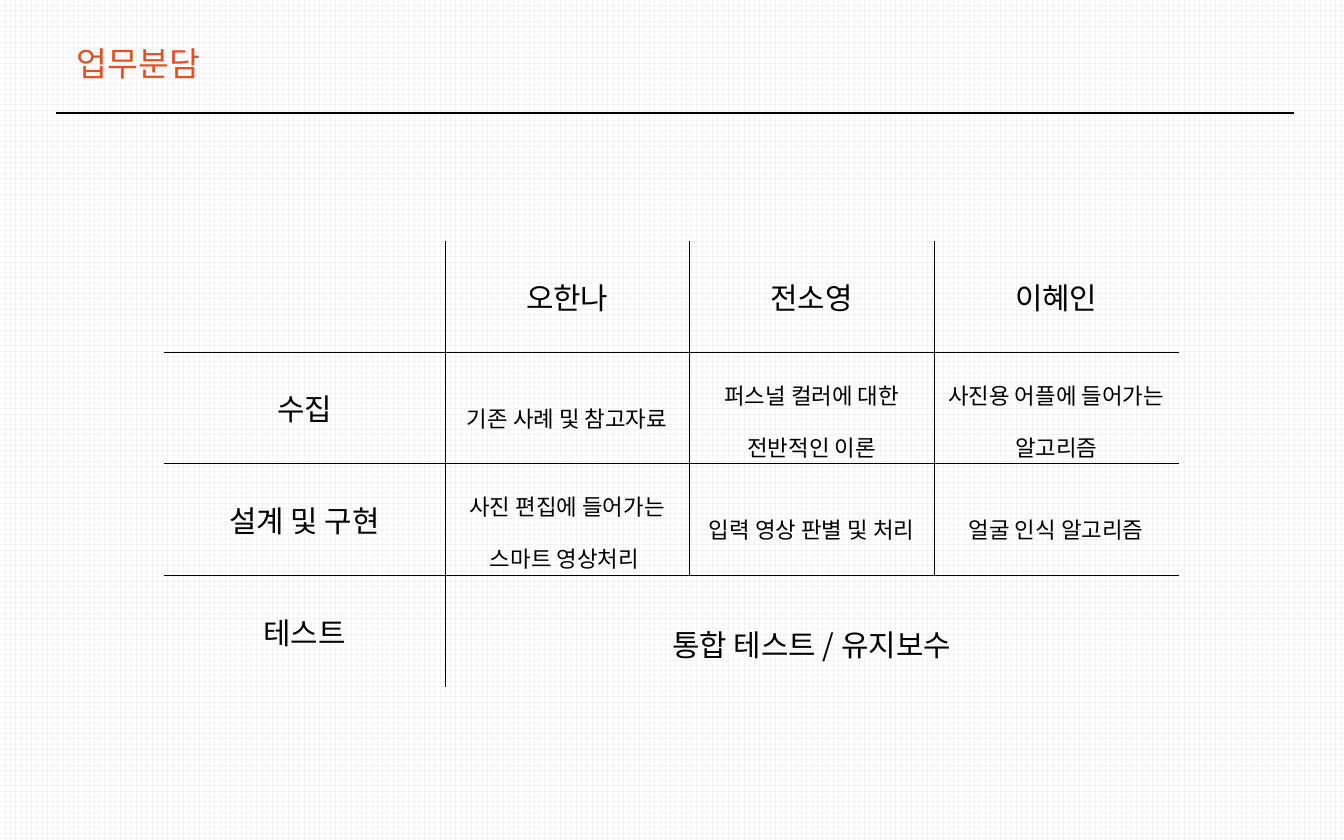
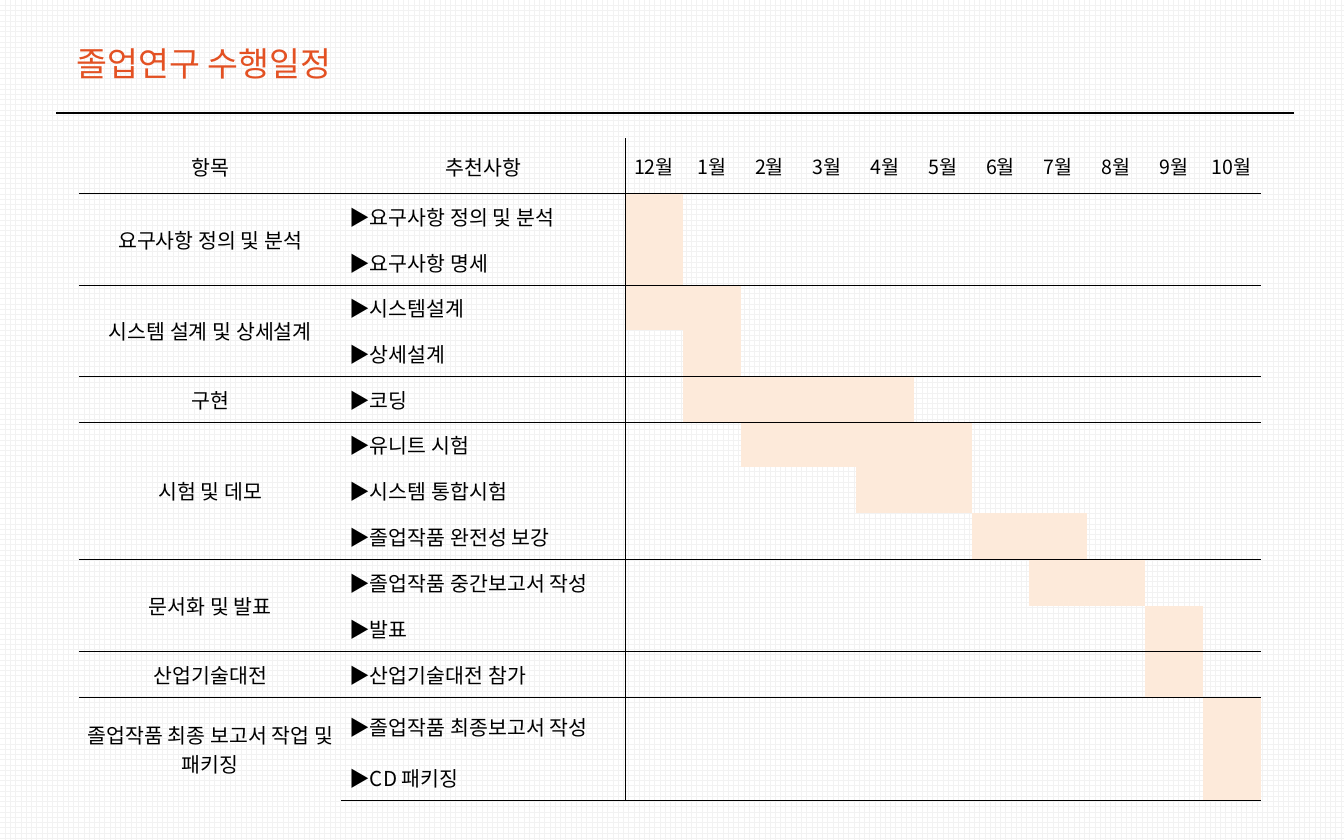
from lxml.etree import SubElement
from pptx import Presentation
from pptx.dml.color import RGBColor
from pptx.enum.dml import MSO_PATTERN
from pptx.enum.shapes import MSO_CONNECTOR
from pptx.enum.text import MSO_ANCHOR, MSO_AUTO_SIZE, PP_ALIGN
from pptx.oxml.ns import qn
from pptx.util import Inches, Pt

FONT, INK, ACCENT, BAR = "Noto Sans CJK KR", "000000", "E35123", "FDEADA"
PLAIN = "{2D5ABB26-0587-4C30-8999-92F81FD0307C}"
hue = RGBColor.from_string


def write(frame, text, size, color=INK, align=PP_ALIGN.LEFT, gap=None):
    para = frame.paragraphs[0]
    para.alignment = align
    para.line_spacing = gap
    if not text:
        SubElement(para._p, qn("a:endParaRPr"), sz=str(int(size * 100)))
        return
    run = para.add_run()
    run.text = text
    run.font.size = Pt(size)
    run.font.name = FONT
    run.font.color.rgb = hue(color)
    SubElement(run._r.get_or_add_rPr(), qn("a:ea"), typeface=FONT)


def edge(cell, sides, fill=None):
    props = cell._tc.get_or_add_tcPr()
    for side in "LRTB":
        line = SubElement(props, qn("a:ln" + side), w=str(Pt(0.28)))
        if side in sides:
            solid = SubElement(line, qn("a:solidFill"))
            SubElement(solid, qn("a:srgbClr"), val=INK)
        else:
            SubElement(line, qn("a:noFill"))
    if fill:
        cell.fill.solid()
        cell.fill.fore_color.rgb = hue(fill)
    else:
        cell.fill.background()


deck = Presentation()
deck.slide_width, deck.slide_height = Inches(10), Inches(6.25)

duties = [
    ["", "오한나", "전소영", "이혜인"],
    ["수집", "기존 사례 및 참고자료", "퍼스널 컬러에 대한 전반적인 이론",
     "사진용 어플에 들어가는 알고리즘"],
    ["설계 및 구현", "사진 편집에 들어가는 스마트 영상처리 ",
     "입력 영상 판별 및 처리", "얼굴 인식 알고리즘"],
    ["테스트", "통합 테스트 / 유지보수", "", ""],
]
groups = [
    ("요구사항 정의 및 분석", [("요구사항 정의 및 분석", 0, 0), ("요구사항 명세", 0, 0)]),
    ("시스템 설계 및 상세설계", [("시스템설계", 0, 1), ("상세설계", 1, 1)]),
    ("구현", [("코딩", 1, 4)]),
    ("시험 및 데모", [("유니트 시험", 2, 5), ("시스템 통합시험", 4, 5),
                 ("졸업작품 완전성 보강", 6, 7)]),
    ("문서화 및 발표", [("졸업작품 중간보고서 작성", 7, 8), ("발표", 9, 9)]),
    ("산업기술대전", [("산업기술대전 참가", 9, 9)]),
    ("졸업작품 최종 보고서 작업 및 패키징",
     [("졸업작품 최종보고서 작성", 10, 10), ("CD 패키징", 10, 10)]),
]
months = [f"{m}월" for m in [12, *range(1, 11)]]
plan = [["항목", "추천사항", *months]]
bars, spans, ends = {}, [], {0}
for name, tasks in groups:
    first = len(plan)
    for task, start, stop in tasks:
        for month in range(start, stop + 1):
            bars[len(plan), month + 2] = BAR
        head = name if len(plan) == first else ""
        plan.append([head, "▶" + task] + [""] * len(months))
    last = len(plan) - 1
    ends.add(last)
    if last > first:
        spans.append((first, 0, last, 0))

tall = [0.35] + [0.34] * 13
tall[9], tall[12] = 0.35, 0.43
pages = [
    ("업무분담", 1.13, duties, (1.22, 1.79), [2.09] + [1.82] * 3, [0.83] * 4,
     {0, 1, 2}, {0, 1, 2}, [(3, 1, 3, 3)], {}),
    ("졸업연구 수행일정", 2.14, plan, (0.59, 1.03), [1.95, 2.11] + [0.43] * 11, tall,
     ends, {1}, spans, bars),
]

for title, wide, data, spot, cols, rows, floors, walls, joins, fills in pages:
    slide = deck.slides.add_slide(deck.slide_layouts[6])
    back = slide.background.fill
    back.patterned()
    back.pattern = MSO_PATTERN.LARGE_GRID
    back.fore_color.rgb = hue("F2F2F2")
    back.back_color.rgb = hue("FFFFFF")

    rule = slide.shapes.add_connector(
        MSO_CONNECTOR.STRAIGHT, Inches(0.42), Inches(0.84), Inches(9.63), Inches(0.84))
    rule.line.color.rgb = hue(INK)
    rule.line.width = Pt(0.75)
    SubElement(rule._element.spPr, qn("a:effectLst"))

    box = slide.shapes.add_textbox(Inches(0.47), Inches(0.27), Inches(wide), Inches(0.4))
    box.text_frame.word_wrap = False
    box.text_frame.auto_size = MSO_AUTO_SIZE.SHAPE_TO_FIT_TEXT
    write(box.text_frame, title, 18, ACCENT)

    table = slide.shapes.add_table(
        len(rows), len(cols), *map(Inches, spot),
        Inches(sum(cols)), Inches(sum(rows))).table
    table.first_row = table.horz_banding = False
    table._tbl.tblPr.find(qn("a:tableStyleId")).text = PLAIN
    for col, width in zip(table.columns, cols):
        col.width = Inches(width)
    for row, height in zip(table.rows, rows):
        row.height = Inches(height)
    for top, left, low, right in joins:
        table.cell(top, left).merge(table.cell(low, right))

    for r, line in enumerate(data):
        for c, text in enumerate(line):
            cell = table.cell(r, c)
            cell.vertical_anchor = MSO_ANCHOR.MIDDLE
            align, gap = PP_ALIGN.CENTER, None
            if data is plan:
                cell.margin_left = cell.margin_right = Inches(0.06)
                cell.margin_top = cell.margin_bottom = Inches(0.03)
                size = 10.5 if c > 1 else 11
                if r and c == 1:
                    align = PP_ALIGN.LEFT
            else:
                inner = r and c
                size = 12 if inner and r < 3 else 16
                gap = 1.6 if inner else None
            write(cell.text_frame, text, size, INK, align, gap)
            sides = ""
            if c - 1 in walls and not (data is duties and r == 3 and c > 1):
                sides += "L"
            if c in walls and not (data is duties and r == 3 and c > 0):
                sides += "R"
            if r - 1 in floors:
                sides += "T"
            if r in floors:
                sides += "B"
            edge(cell, sides, fills.get((r, c)))

deck.save("out.pptx")
